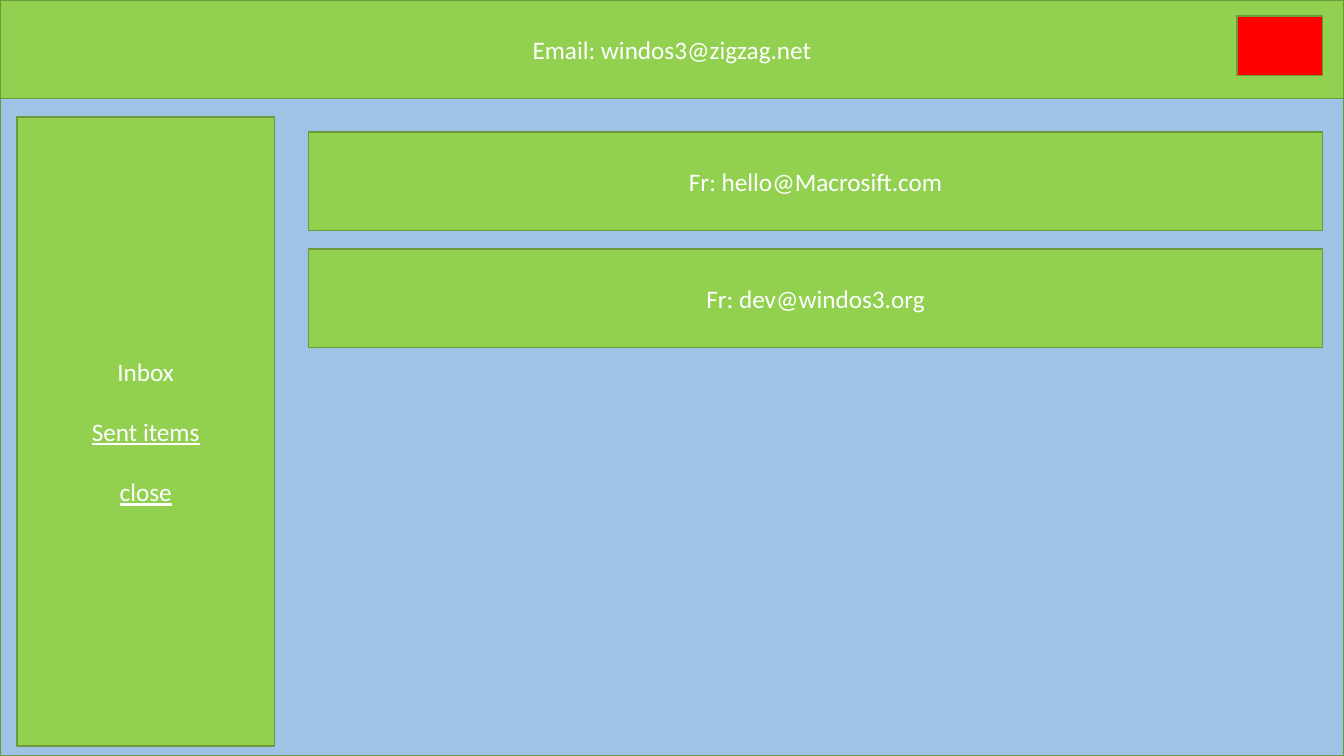
import pptx
import pptx.util
import pptx.dml.color
import pptx.enum.shapes
import pptx.enum.text

Inches = pptx.util.Inches
Pt = pptx.util.Pt

GREEN, BLUE, RED = "92D050", "9DC3E6", "FF0000"
OUTLINE, WHITE = "6C9A3B", "FFFFFF"
SLIDE_W, SLIDE_H = 13.33, 7.5
BAR_H = 0.98


def rgb(color):
    return pptx.dml.color.RGBColor.from_string(color)


def add_panel(s, x, y, w, h, fill, lines=(), gap=0):
    """Outlined rectangle with centred lines of (text, underlined)."""
    sp = s.shapes.add_shape(pptx.enum.shapes.MSO_SHAPE.RECTANGLE,
                            Inches(x), Inches(y), Inches(w), Inches(h))
    sp.shadow.inherit = False
    sp.fill.solid()
    sp.fill.fore_color.rgb = rgb(fill)
    sp.line.color.rgb = rgb(OUTLINE)
    sp.line.width = Pt(1)
    tf = sp.text_frame
    tf.word_wrap = True
    tf.vertical_anchor = pptx.enum.text.MSO_ANCHOR.MIDDLE
    for i, (text, underlined) in enumerate(lines):
        p = tf.add_paragraph() if i else tf.paragraphs[0]
        p.text = text
        p.alignment = pptx.enum.text.PP_ALIGN.CENTER
        if i:
            p.space_before = Pt(gap)
        font = p.runs[0].font
        font.name = "Calibri"
        font.size = Pt(18)
        font.underline = underlined or None
        font.color.rgb = rgb(WHITE)


def add_header(s, x, y, w, h):
    # Account bar with the red close button at its right end
    add_panel(s, x, y, w, h, GREEN, [("Email: windos3@zigzag.net", False)])
    add_panel(s, x + w - 1.06, y + 0.16, 0.85, 0.59, RED)


def add_sidebar(s, x, y, w, h):
    # Folder menu
    folders = [("Inbox", False), ("Sent items", True), ("close", True)]
    add_panel(s, x, y, w, h, GREEN, folders, gap=21.5)


def add_messages(s, x, y, w, row_h, pitch):
    # One bar per received message
    for i, sender in enumerate(["hello@Macrosift.com", "dev@windos3.org"]):
        add_panel(s, x, y + i * pitch, w, row_h, GREEN, [(f"Fr: {sender}", False)])


def main():
    prs = pptx.Presentation()
    prs.slide_width, prs.slide_height = Inches(SLIDE_W), Inches(SLIDE_H)
    s = prs.slides.add_slide(prs.slide_layouts[6])

    # Window background
    add_panel(s, 0, 0, SLIDE_W, SLIDE_H, BLUE)
    add_header(s, 0, 0, SLIDE_W, BAR_H)
    add_sidebar(s, 0.17, 1.16, 2.55, 6.24)
    add_messages(s, 3.06, 1.31, 10.06, BAR_H, pitch=1.16)
    prs.save("out.pptx")


if __name__ == "__main__":
    main()
